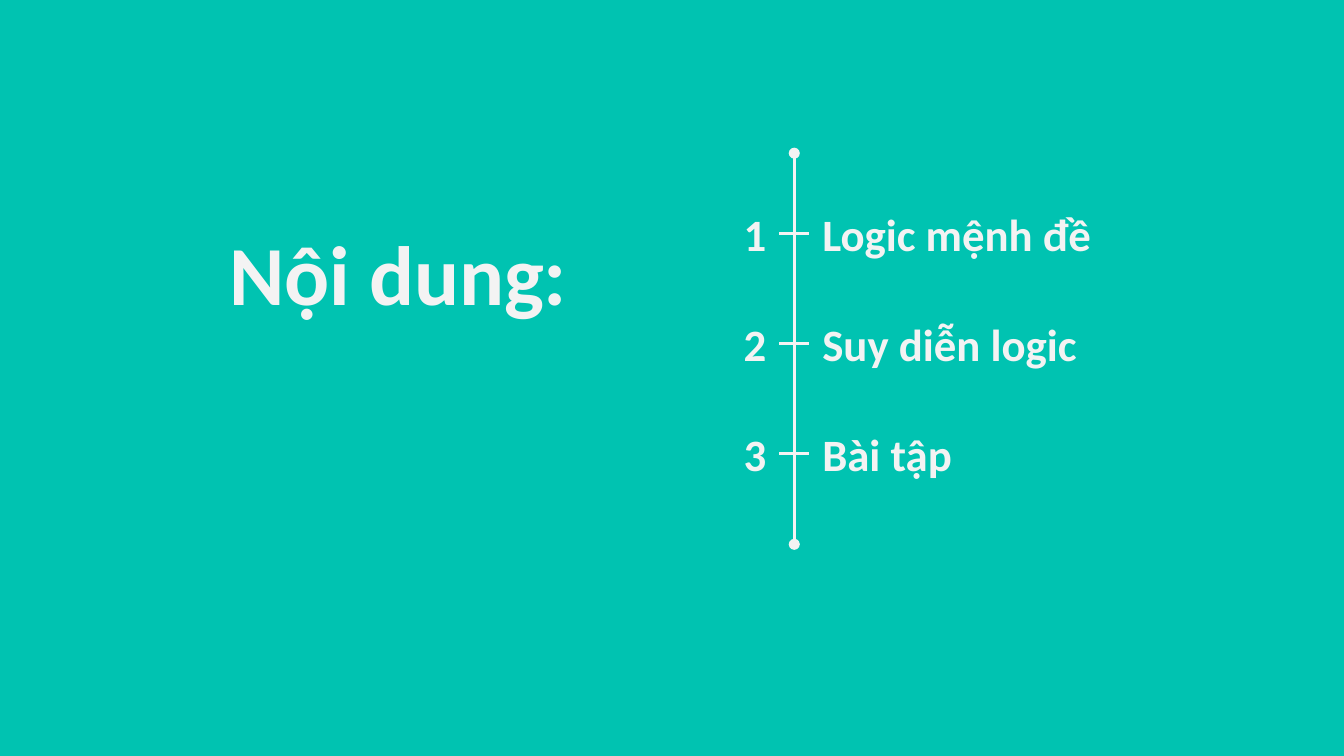
from dataclasses import dataclass

from lxml import etree
from pptx import Presentation
from pptx.dml.color import RGBColor
from pptx.enum import shapes, text
from pptx.oxml import ns
from pptx.util import Inches, Pt


@dataclass(frozen=True)
class Theme:
    """Colours, font and type sizes of the slide."""
    background: RGBColor = RGBColor(0x00, 0xC3, 0xB1)
    ink: RGBColor = RGBColor(0xF3, 0xF3, 0xF3)
    font: str = "Calibri"
    title_size: float = 45
    topic_size: float = 24
    line_width: float = 1.5


THEME = Theme()
TOPICS = ["Logic mệnh đề", "Suy diễn logic", "Bài tập"]
TOPIC_WIDTHS = [2.72, 3.39, 2.26]
FIRST_TOP, ROW_STEP, ROW_HEIGHT = 1.39, 0.82, 0.69
NUMBER_LEFT, NUMBER_WIDTH = 3.54, 2.26
TOPIC_LEFT, AXIS_X = 6.02, 5.91


def add_text(slide, content, left, top, width, height, *, size=THEME.topic_size,
             align=text.PP_ALIGN.LEFT, anchor=text.MSO_ANCHOR.MIDDLE):
    """Add a bold text box and return it."""
    box = slide.shapes.add_textbox(Inches(left), Inches(top), Inches(width), Inches(height))
    frame = box.text_frame
    frame.word_wrap = True
    frame.vertical_anchor = anchor
    frame.margin_left = frame.margin_right = Inches(0.1)
    frame.margin_top = frame.margin_bottom = Inches(0.1)
    paragraph = frame.paragraphs[0]
    paragraph.alignment = align
    run = paragraph.add_run()
    run.text = content
    run.font.name = THEME.font
    run.font.size = Pt(size)
    run.font.bold = True
    run.font.color.rgb = THEME.ink
    return box


def add_line(slide, start, end, oval_ends=False):
    """Add a straight line between two points and return it."""
    line = slide.shapes.add_connector(
        shapes.MSO_CONNECTOR.STRAIGHT, *(Inches(value) for value in (*start, *end)))
    line.line.color.rgb = THEME.ink
    line.line.width = Pt(THEME.line_width)
    if oval_ends:
        outline = line.line._get_or_add_ln()
        for tag in ("a:headEnd", "a:tailEnd"):
            etree.SubElement(outline, ns.qn(tag), type="oval")
    etree.SubElement(line._element.spPr, ns.qn("a:effectLst"))
    return line


def add_topic(slide, index, topic, width):
    """Add a numbered topic with its tick across the axis."""
    top = FIRST_TOP + index * ROW_STEP
    middle = top + ROW_HEIGHT / 2
    number = add_text(slide, str(index + 1), NUMBER_LEFT, top, NUMBER_WIDTH, ROW_HEIGHT,
                      align=text.PP_ALIGN.RIGHT)
    label = add_text(slide, topic, TOPIC_LEFT, top, width, ROW_HEIGHT)
    tick = add_line(slide, (NUMBER_LEFT + NUMBER_WIDTH, middle), (TOPIC_LEFT, middle))
    tick.begin_connect(number, 3)
    tick.end_connect(label, 1)


def main():
    """Build the contents slide and save it."""
    deck = Presentation()
    deck.slide_width, deck.slide_height = Inches(10), Inches(10 * 9 / 16)
    slide = deck.slides.add_slide(deck.slide_layouts[6])
    slide.background.fill.solid()
    slide.background.fill.fore_color.rgb = THEME.background
    add_text(slide, "Nội dung:", 0.59, 1.55, 3.73, 1.89, size=THEME.title_size,
             align=text.PP_ALIGN.RIGHT, anchor=text.MSO_ANCHOR.TOP)
    add_line(slide, (AXIS_X, 1.14), (AXIS_X, 4.05), oval_ends=True)
    for index, (topic, width) in enumerate(zip(TOPICS, TOPIC_WIDTHS)):
        add_topic(slide, index, topic, width)
    deck.save("out.pptx")


if __name__ == "__main__":
    main()
